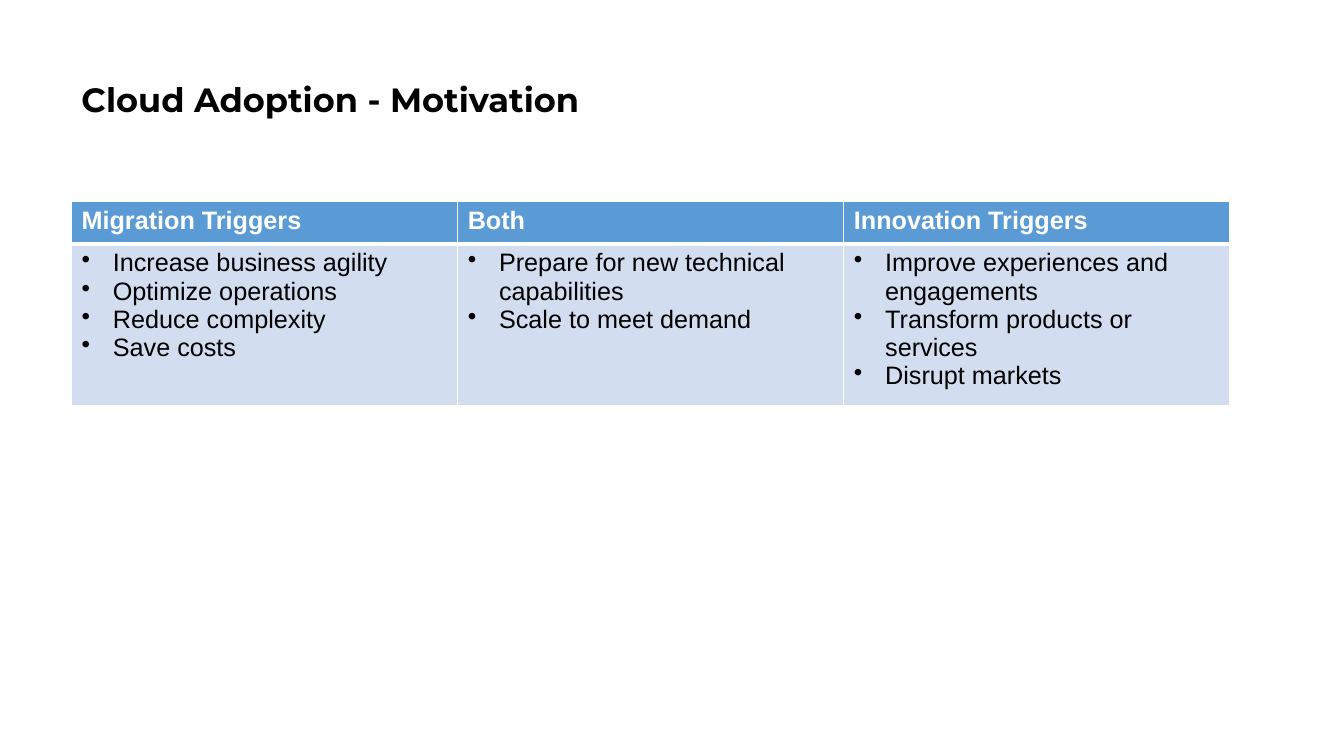
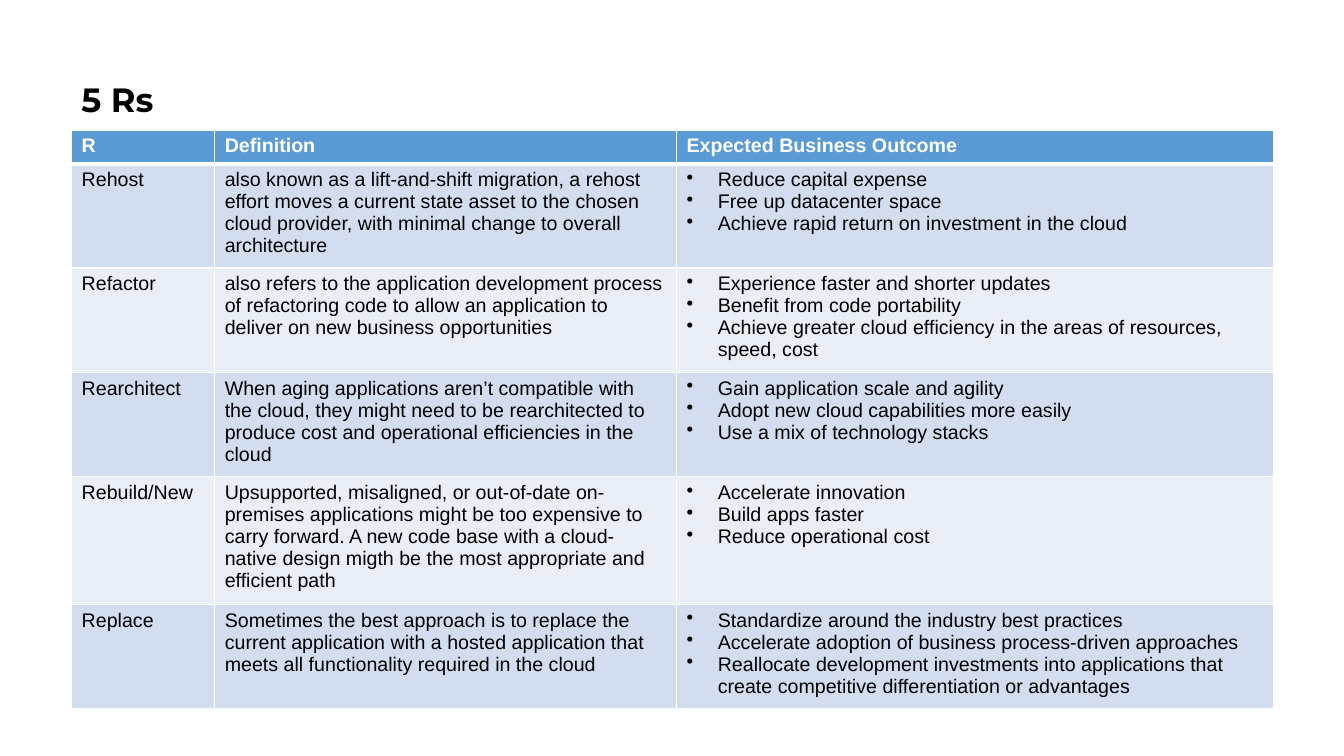
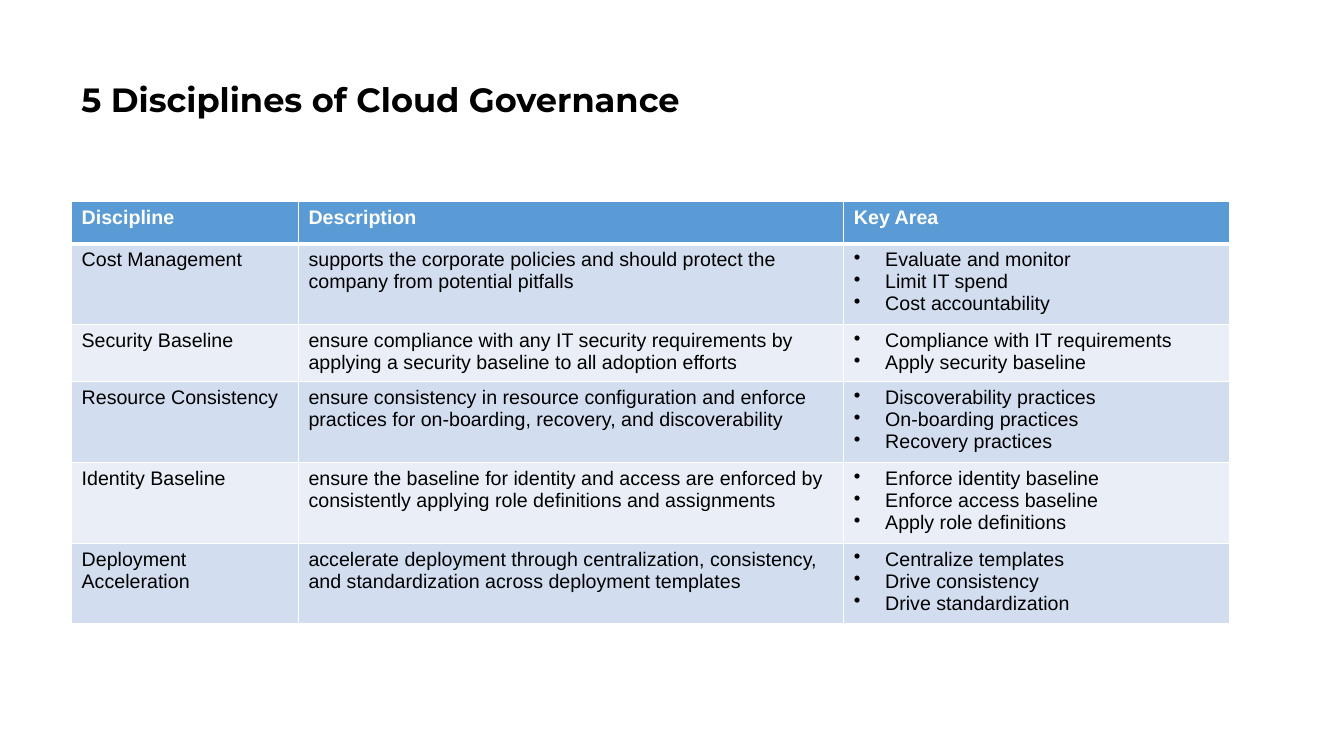
"""Build three slides on cloud adoption, each a title above a table."""
from dataclasses import dataclass

from lxml import etree
from pptx import Presentation
from pptx import util as u
from pptx.dml.color import RGBColor
from pptx.enum import text
from pptx.oxml import ns


@dataclass(frozen=True)
class Theme:
    """Hold the colours, fonts and type sizes that the slides share."""
    ink: str = "000000"
    paper: str = "FFFFFF"
    header: str = "5B9BD5"
    bands: tuple = ("D2DEEF", "EAEFF7")
    title_font: str = "Montserrat"
    body_font: str = "Arial"
    title_size: int = 24
    large_size: int = 18
    small_size: int = 14
    rule: int = 1
    header_rule: int = 3
    bullet_indent: float = 0.31


THEME = Theme()

TRIGGERS = [
    ["Migration Triggers", "Both", "Innovation Triggers"],
    [
        ["Increase business agility", "Optimize operations", "Reduce complexity", "Save costs"],
        ["Prepare for new technical capabilities", "Scale to meet demand"],
        ["Improve experiences and engagements", "Transform products or services", "Disrupt markets"],
    ],
]

FIVE_RS = [
    ["R", "Definition", "Expected Business Outcome"],
    [
        "Rehost",
        "also known as a lift-and-shift migration, a rehost effort moves a current state asset "
        "to the chosen cloud provider, with minimal change to overall architecture",
        ["Reduce capital expense", "Free up datacenter space",
         "Achieve rapid return on investment in the cloud"],
    ],
    [
        "Refactor",
        "also refers to the application development process of refactoring code to allow an "
        "application to deliver on new business opportunities",
        ["Experience faster and shorter updates", "Benefit from code portability",
         "Achieve greater cloud efficiency in the areas of resources, speed, cost"],
    ],
    [
        "Rearchitect",
        "When aging applications aren’t compatible with the cloud, they might need to be "
        "rearchitected to produce cost and operational efficiencies in the cloud",
        ["Gain application scale and agility", "Adopt new cloud capabilities more easily",
         "Use a mix of technology stacks"],
    ],
    [
        "Rebuild/New",
        "Upsupported, misaligned, or out-of-date on-premises applications might be too expensive "
        "to carry forward. A new code base with a cloud-native design migth be the most "
        "appropriate and efficient path",
        ["Accelerate innovation", "Build apps faster", "Reduce operational cost"],
    ],
    [
        "Replace",
        "Sometimes the best approach is to replace the current application with a hosted "
        "application that meets all functionality required in the cloud",
        ["Standardize around the industry best practices",
         "Accelerate adoption of business process-driven approaches",
         "Reallocate development investments into applications that create competitive "
         "differentiation or advantages"],
    ],
]

DISCIPLINES = [
    ["Discipline", "Description", "Key Area"],
    [
        "Cost Management",
        "supports the corporate policies and should protect the company from potential pitfalls",
        ["Evaluate and monitor", "Limit IT spend", "Cost accountability"],
    ],
    [
        "Security Baseline",
        "ensure compliance with any IT security requirements by applying a security baseline "
        "to all adoption efforts",
        ["Compliance with IT requirements", "Apply security baseline"],
    ],
    [
        "Resource Consistency",
        "ensure consistency in resource configuration and enforce practices for on-boarding, "
        "recovery, and discoverability",
        ["Discoverability practices", "On-boarding practices", "Recovery practices"],
    ],
    [
        "Identity Baseline",
        "ensure the baseline for identity and access are enforced by consistently applying "
        "role definitions and assignments",
        ["Enforce identity baseline", "Enforce access baseline", "Apply role definitions"],
    ],
    [
        "Deployment Acceleration",
        "accelerate deployment through centralization, consistency, and standardization across "
        "deployment templates",
        ["Centralize templates", "Drive consistency", "Drive standardization"],
    ],
]


def style_font(para, name, size, color, bold):
    """Set the font of a whole paragraph."""
    para.font.name = name
    para.font.size = u.Pt(size)
    para.font.bold = bold
    para.font.color.rgb = RGBColor.from_string(color)


def add_bullet(para):
    """Give a paragraph a round bullet with a hanging indent."""
    props = para._p.get_or_add_pPr()
    indent = u.Inches(THEME.bullet_indent)
    props.set("marL", str(indent))
    props.set("indent", str(-indent))
    props.insert_element_before(
        props.makeelement(ns.qn("a:buChar"), {"char": "•"}),
        "a:tabLst", "a:defRPr", "a:extLst")


def set_borders(cell, top, bottom):
    """Draw the four cell borders in the paper colour, widths in points."""
    props = cell._tc.get_or_add_tcPr()
    widths = {"L": THEME.rule, "R": THEME.rule, "T": top, "B": bottom}
    for position, (side, width) in enumerate(widths.items()):
        line = props.makeelement(ns.qn(f"a:ln{side}"), {"w": str(u.Pt(width))})
        fill = etree.SubElement(line, ns.qn("a:solidFill"))
        etree.SubElement(fill, ns.qn("a:srgbClr"), {"val": THEME.paper})
        props.insert(position, line)


def fill_cell(cell, content, row, size):
    """Write a string, or a list as bullets, and style the cell by its row."""
    is_header = row == 0
    bulleted = isinstance(content, list)
    lines = content if bulleted else [content]
    cell.text = "\n".join(lines)
    for para in cell.text_frame.paragraphs:
        style_font(para, THEME.body_font, size, THEME.paper if is_header else THEME.ink, is_header)
        if bulleted:
            add_bullet(para)
    color = THEME.header if is_header else THEME.bands[(row - 1) % len(THEME.bands)]
    cell.fill.solid()
    cell.fill.fore_color.rgb = RGBColor.from_string(color)
    set_borders(cell,
                top=THEME.header_rule if row == 1 else THEME.rule,
                bottom=THEME.header_rule if is_header else THEME.rule)


def add_title(page, title):
    """Add the slide title."""
    box = page.shapes.add_textbox(u.Inches(0.71), u.Inches(0.28), u.Inches(11.5), u.Inches(1.45))
    frame = box.text_frame
    frame.word_wrap = True
    frame.vertical_anchor = text.MSO_ANCHOR.MIDDLE
    para = frame.paragraphs[0]
    para.text = title
    para.line_spacing = 0.9
    style_font(para, THEME.title_font, THEME.title_size, THEME.ink, True)


def add_grid(page, rows, top, widths, heights, size):
    """Add a banded table with a header row."""
    table = page.shapes.add_table(
        len(rows), len(widths), u.Inches(0.71), u.Inches(top),
        u.Inches(sum(widths)), u.Inches(sum(heights))).table
    for column, width in zip(table.columns, widths):
        column.width = u.Inches(width)
    for index, (row, height) in enumerate(zip(rows, heights)):
        table.rows[index].height = u.Inches(height)
        for column, content in enumerate(row):
            fill_cell(table.cell(index, column), content, index, size)


def add_page(deck, title, rows, top, widths, heights, size):
    """Add one slide with a title and a table."""
    page = deck.slides.add_slide(deck.slide_layouts[6])
    add_title(page, title)
    add_grid(page, rows, top, widths, heights, size)


def main():
    """Build and save the deck."""
    deck = Presentation()
    deck.slide_width, deck.slide_height = u.Inches(13.33), u.Inches(7.5)
    add_page(deck, "Cloud Adoption - Motivation", TRIGGERS, 2,
             [3.83] * 3, [0.42, 1.49], THEME.large_size)
    add_page(deck, "5 Rs", FIVE_RS, 1.29,
             [1.42, 4.58, 5.92], [0.33, 1.03, 1.03, 0.97, 1.19, 0.97], THEME.small_size)
    add_page(deck, "5 Disciplines of Cloud Governance", DISCIPLINES, 2,
             [2.25, 5.41, 3.83], [0.42, 0.75, 0.54, 0.75, 0.75, 0.75], THEME.small_size)
    deck.save("out.pptx")


if __name__ == "__main__":
    main()
